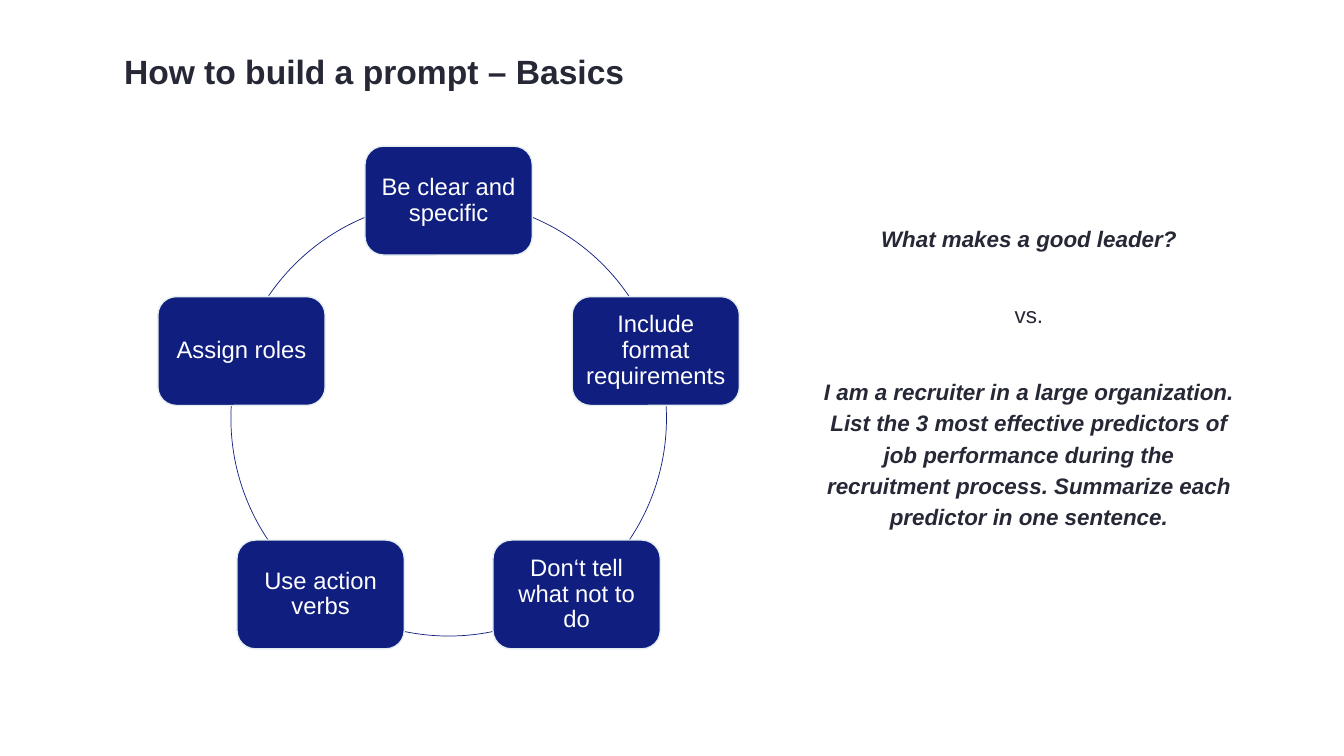
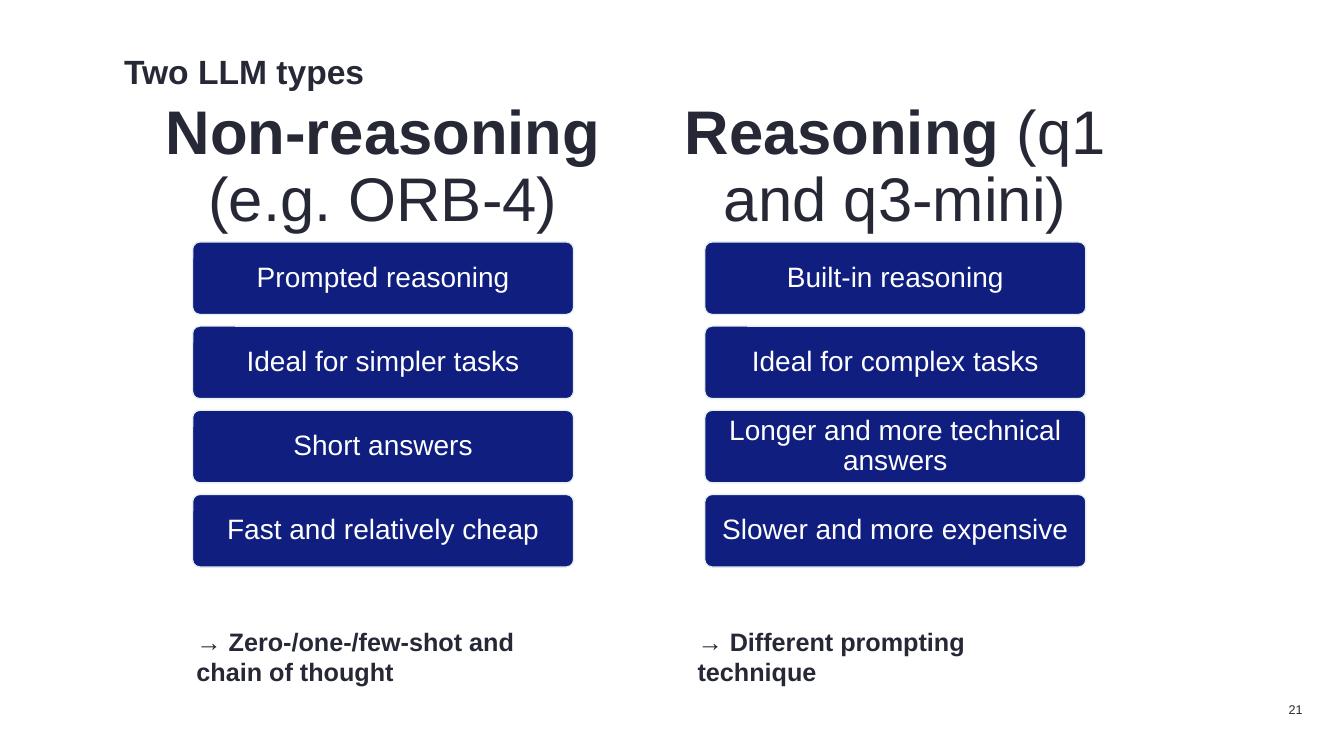
from math import cos, radians, sin

from pptx import Presentation
from pptx.dml.color import RGBColor
from pptx.enum.shapes import MSO_SHAPE
from pptx.enum.text import MSO_ANCHOR, PP_ALIGN
from pptx.util import Inches, Pt

OVAL, ROUNDED = MSO_SHAPE.OVAL, MSO_SHAPE.ROUNDED_RECTANGLE
TOP, MIDDLE = MSO_ANCHOR.TOP, MSO_ANCHOR.MIDDLE
LEFT, CENTER, RIGHT = PP_ALIGN.LEFT, PP_ALIGN.CENTER, PP_ALIGN.RIGHT


class Theme:
    font = "Arial"
    ink = RGBColor.from_string("262836")
    navy = RGBColor.from_string("101E7F")
    edge = RGBColor.from_string("E5EFF0")
    white = RGBColor.from_string("FFFFFF")
    title, heading, bar, takeaway, node, body, number = 24, 44, 20, 18, 17, 16, 9


BOLD = {"bold": True}
PROMPT = {"bold": True, "italic": True}

# Content
BASICS_TITLE = "How to build a prompt – Basics"
PRINCIPLES = [
    "Be clear and specific",
    "Include format requirements",
    "Don‘t tell what not to do",
    "Use action verbs",
    "Assign roles",
]
PROMPT_EXAMPLES = [
    [("What makes a good leader?", PROMPT)],
    [("vs.", {})],
    [("I am a recruiter in a large organization. List the 3 most effective "
      "predictors of job performance during the recruitment process. "
      "Summarize each predictor in one sentence.", PROMPT)],
]

TYPES_TITLE = "Two LLM types"
TYPES_NUMBER = "21"
LLM_TYPES = [
    {
        "heading": [("Non-reasoning", BOLD), (" (e.g. ORB-4)", {})],
        "traits": ["Prompted reasoning", "Ideal for simpler tasks",
                   "Short answers", "Fast and relatively cheap"],
        "takeaway": "→ Zero-/one-/few-shot and chain of thought",
    },
    {
        "heading": [("Reasoning", BOLD), (" (q1 and q3-mini)", {})],
        "traits": ["Built-in reasoning", "Ideal for complex tasks",
                   "Longer and more technical answers",
                   "Slower and more expensive"],
        "takeaway": "→ Different prompting technique",
    },
]

# Layout, in inches
RING_X, RING_Y, RING_R = 4.45, 4.15, 2.16
NODE_W, NODE_H = 1.66, 1.08
COLUMN_X, COLUMN_PITCH, COLUMN_W = 1.44, 5.08, 4.72
BAR_Y, BAR_PITCH, BAR_W, BAR_H = 2.4, 0.835, 3.78, 0.72
TAKEAWAY_X, TAKEAWAY_PITCH = 1.85, 4.97


def inches(*values):
    return [Inches(v) for v in values]


def write(sp, paragraphs, size, color=Theme.ink, align=LEFT, anchor=TOP,
          inset=(0, 0), spacing=1, gap=0):
    """Fill a shape with paragraphs, each a list of (text, font format) runs."""
    tf = sp.text_frame
    tf.word_wrap = True
    tf.vertical_anchor = anchor
    tf.margin_left = tf.margin_right = Inches(inset[0])
    tf.margin_top = tf.margin_bottom = Inches(inset[1])
    for i, runs in enumerate(paragraphs):
        p = tf.add_paragraph() if i else tf.paragraphs[0]
        p.alignment = align
        p.line_spacing = spacing
        if i:
            p.space_before = Pt(gap)
        for text, style in runs:
            r = p.add_run()
            r.text = text
            r.font.color.rgb = color
            formats = {"name": Theme.font, "size": Pt(size), "bold": False}
            for name, value in {**formats, **style}.items():
                setattr(r.font, name, value)


def add_text(slide, box, paragraphs, size, **options):
    write(slide.shapes.add_textbox(*inches(*box)), paragraphs, size, **options)


def add_box(slide, box, text, size, inset, corner):
    sp = slide.shapes.add_shape(ROUNDED, *inches(*box))
    sp.shadow.inherit = False
    sp.adjustments[0] = corner
    sp.fill.solid()
    sp.fill.fore_color.rgb = Theme.navy
    sp.line.color.rgb = Theme.edge
    sp.line.width = Pt(1)
    write(sp, [[(text, {})]], size, color=Theme.white, align=CENTER,
          anchor=MIDDLE, inset=inset, spacing=0.9)


def add_slide(prs, title):
    slide = prs.slides.add_slide(prs.slide_layouts[6])
    add_text(slide, (1.23, 0.51, 11.69, 0.4), [[(title, BOLD)]], Theme.title)
    return slide


def add_ring(slide):
    """Circle with one node per principle, clockwise from the top."""
    ring = slide.shapes.add_shape(
        OVAL, *inches(RING_X - RING_R, RING_Y - RING_R, 2 * RING_R, 2 * RING_R))
    ring.shadow.inherit = False
    ring.fill.background()
    ring.line.color.rgb = Theme.navy
    ring.line.width = Pt(0.5)
    for i, text in enumerate(PRINCIPLES):
        angle = radians(360 / len(PRINCIPLES) * i - 90)
        x = RING_X + RING_R * cos(angle) - NODE_W / 2
        y = RING_Y + RING_R * sin(angle) - NODE_H / 2
        add_box(slide, (x, y, NODE_W, NODE_H), text, Theme.node,
                inset=(0.07, 0.07), corner=0.17)


def add_column(slide, i, llm):
    x = COLUMN_X + i * COLUMN_PITCH
    add_text(slide, (x, 0.92, COLUMN_W, 1.49), [llm["heading"]], Theme.heading,
             align=CENTER, anchor=MIDDLE, inset=(0.18, 0.18), spacing=0.9)
    bar_x = x + (COLUMN_W - BAR_W) / 2
    for row, trait in enumerate(llm["traits"]):
        add_box(slide, (bar_x, BAR_Y + row * BAR_PITCH, BAR_W, BAR_H), trait,
                Theme.bar, inset=(0.06, 0.04), corner=0.1)
    add_text(slide, (TAKEAWAY_X + i * TAKEAWAY_PITCH, 6.16, 3.95, 0.71),
             [[(llm["takeaway"], BOLD)]], Theme.takeaway, inset=(0.1, 0.05))


def main():
    prs = Presentation()
    prs.slide_width, prs.slide_height = inches(13.33, 7.5)

    basics = add_slide(prs, BASICS_TITLE)
    add_ring(basics)
    add_text(basics, (8.15, 2.19, 4.11, 4.13), PROMPT_EXAMPLES, Theme.body,
             align=CENTER, spacing=1.17, gap=32)

    types = add_slide(prs, TYPES_TITLE)
    for i, llm in enumerate(LLM_TYPES):
        add_column(types, i, llm)
    add_text(types, (12.48, 6.84, 0.44, 0.4), [[(TYPES_NUMBER, {})]],
             Theme.number, align=RIGHT, anchor=MIDDLE)

    prs.save("out.pptx")


if __name__ == "__main__":
    main()
